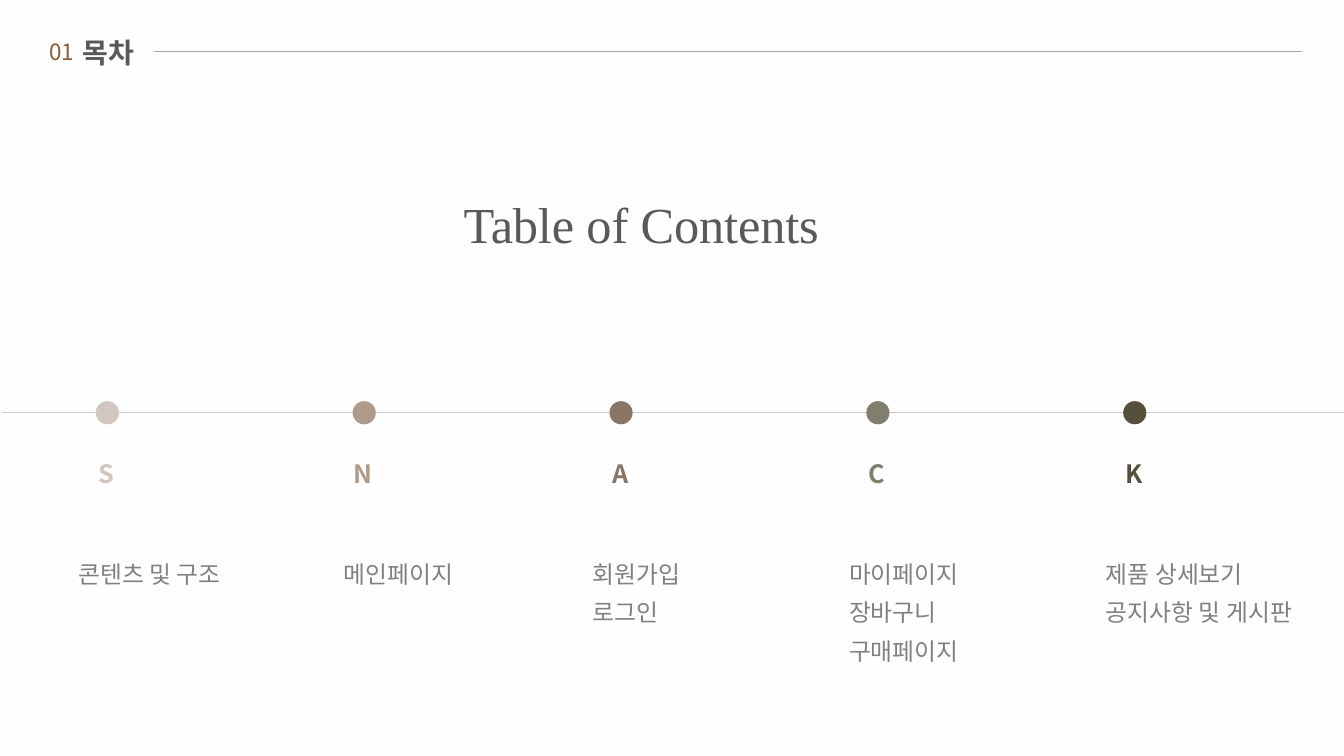
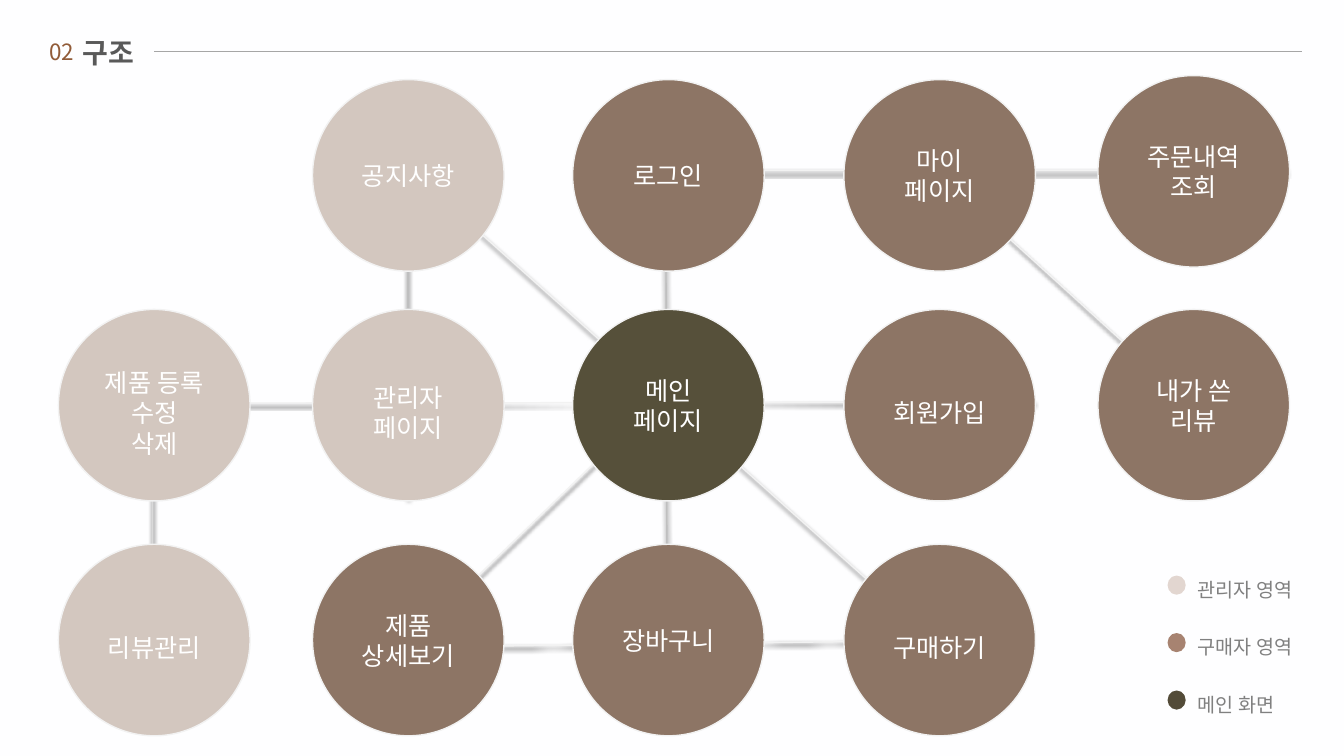
"""Build the contents slide and the site structure slide."""
import lxml.etree
import pptx
import pptx.dml.color
import pptx.enum.shapes
import pptx.enum.text
import pptx.oxml
import pptx.oxml.ns
import pptx.util

Inches = pptx.util.Inches
Oval = pptx.enum.shapes.MSO_SHAPE.OVAL
Align = pptx.enum.text.PP_ALIGN
Anchor = pptx.enum.text.MSO_ANCHOR

KOREAN = "Noto Sans CJK KR"
DARK = "595959"
GRAY = "808080"
PALE = "F2F2F2"
ADMIN = "D3C7BF"
BUYER = "8D7565"
MAIN = "56503A"
SHADOW = (
    f'<a:effectLst {pptx.oxml.ns.nsdecls("a")}>'
    '<a:outerShdw blurRad="38100" dist="25400" dir="5400000" rotWithShape="0">'
    '<a:srgbClr val="000000"><a:alpha val="75000"/></a:srgbClr>'
    '</a:outerShdw></a:effectLst>'
)


def color(value):
    return pptx.dml.color.RGBColor.from_string(value)


def write(box, lines, size, tint, font=KOREAN, bold=False, align=Align.LEFT,
          anchor=Anchor.TOP, spacing=None, tracking=0):
    frame = box.text_frame
    frame.word_wrap = True
    frame.auto_size = pptx.enum.text.MSO_AUTO_SIZE.NONE
    frame.vertical_anchor = anchor
    for index, line in enumerate(lines):
        para = frame.add_paragraph() if index else frame.paragraphs[0]
        para.alignment = align
        para.line_spacing = spacing
        span = para.add_run()
        span.text = line
        span.font.size = pptx.util.Pt(size)
        span.font.bold = bold
        span.font.color.rgb = color(tint)
        span.font.name = font
        properties = span.font._element
        if tracking:
            properties.set("spc", str(tracking))
        east_asian = lxml.etree.SubElement(properties, pptx.oxml.ns.qn("a:ea"))
        east_asian.set("typeface", KOREAN)


deck = pptx.Presentation()
deck.slide_width = Inches(13.33)
deck.slide_height = Inches(7.5)
deck.slide_master.background.fill.solid()
deck.slide_master.background.fill.fore_color.rgb = color("FEFEFF")

pages = []
for number, heading, font in [("01", "목차", "Roboto"), ("02", "구조", KOREAN)]:
    page = deck.slides.add_slide(deck.slide_layouts[5])
    title = page.shapes.title
    title.left, title.top = Inches(0.72), Inches(0.3)
    title.width, title.height = Inches(1.05), Inches(0.43)
    write(title, [heading], 20, DARK, font, bold=True)
    box = page.shapes.add_textbox(Inches(0.39), Inches(0.33), Inches(0.56), Inches(0.37))
    write(box, [number], 16, "915B38")
    pages.append(page)
contents, structure = pages

rule = ((1.53, 0.51), (12.91, 0.51), "A6A6A6", False)
timeline = ((0.02, 4.09), (13.35, 4.09), "CCCCCC", False)
links = [
    ((9.85, 6.87), (3.4, 1.09), PALE, True),
    ((3.56, 6.86), (6.59, 3.92), PALE, True),
    ((1.52, 3.18), (1.51, 7.17), "D9D9D9", True),
    ((4.04, 0.82), (4.05, 4.94), "BFBFBF", True),
    ((3.25, 6.43), (9.63, 6.35), PALE, True),
    ((12.5, 4.63), (8.63, 1.11), PALE, True),
    ((12.76, 1.69), (5.74, 1.69), PALE, True),
    ((6.6, 0.87), (6.62, 7.22), "BFBFBF", True),
    ((0.66, 4), (10.25, 3.99), PALE, True),
]
for page, strokes in [(contents, [rule, timeline]), (structure, links + [rule])]:
    for start, end, tint, shadowed in strokes:
        line = page.shapes.add_connector(
            pptx.enum.shapes.MSO_CONNECTOR.STRAIGHT, *map(Inches, start + end))
        line.line.color.rgb = color(tint)
        line.line.width = pptx.util.Pt(1)
        effects = lxml.etree.SubElement(line._element.spPr, pptx.oxml.ns.qn("a:effectLst"))
        if shadowed:
            effects.extend(pptx.oxml.parse_xml(SHADOW))

box = contents.shapes.add_textbox(Inches(4.5), Inches(1.87), Inches(7.72), Inches(1.3))
write(box, ["Table of Contents"], 36, DARK, "Times New Roman", tracking=-10)

steps = [
    ("S", "D1C7C0", 0, ["콘텐츠 및 구조"]),
    ("N", "AF9A8A", 0.08, ["메인페이지"]),
    ("A", "897667", 0, ["회원가입", "로그인"]),
    ("C", "827E6E", 0, ["마이페이지", "장바구니", "구매페이지"]),
    ("K", "55503C", 0, ["제품 상세보기", "공지사항 및 게시판"]),
]
pitch = (11.14 - 0.95) / (len(steps) - 1)
for index, (letter, tint, indent, topics) in enumerate(steps):
    left = 0.68 + index * pitch
    dot = contents.shapes.add_shape(
        Oval, Inches(left + 0.27), Inches(3.98), Inches(0.23), Inches(0.23))
    dot.shadow.inherit = False
    dot.fill.solid()
    dot.fill.fore_color.rgb = color(tint)
    dot.line.fill.background()
    box = contents.shapes.add_textbox(Inches(left), Inches(4.5), Inches(0.75), Inches(0.4))
    write(box, [letter], 18, tint, bold=True, align=Align.CENTER)
    box = contents.shapes.add_textbox(
        Inches(left + indent), Inches(5.4), Inches(2.28), Inches(0.1 + 0.38 * len(topics)))
    write(box, topics, 17, GRAY, spacing=1.35)

columns = [0.58, 3.1, 5.68, 8.37, 10.89]
rows = [0.79, 3.07, 5.4]
circles = [
    (columns[2], rows[1], MAIN, None, ["메인", "페이지"]),
    (columns[1], rows[0], ADMIN, None, ["공지사항"]),
    (columns[1], rows[2], BUYER, None, ["제품", "상세보기"]),
    (columns[3], rows[1], BUYER, 1.5, ["회원가입"]),
    (columns[3], rows[0], BUYER, None, ["마이", "페이지"]),
    (columns[2], rows[0], BUYER, None, ["로그인"]),
    (columns[2], rows[2], BUYER, None, ["장바구니"]),
    (columns[3], rows[2], BUYER, 1.5, ["구매하기"]),
    (columns[4], 0.75, BUYER, None, ["주문내역", "조회"]),
    (columns[4], rows[1], BUYER, None, ["내가 쓴 리뷰"]),
    (columns[1], rows[1], ADMIN, 1.5, ["관리자", "페이지"]),
    (columns[0], rows[1], ADMIN, 1.5, ["제품 등록", "수정", "삭제"]),
    (columns[0], rows[2], ADMIN, 1.5, ["리뷰관리"]),
]
for left, top, tint, first_spacing, lines in circles:
    circle = structure.shapes.add_shape(
        Oval, Inches(left), Inches(top), Inches(1.9), Inches(1.9))
    circle.shadow.inherit = False
    circle.fill.solid()
    circle.fill.fore_color.rgb = color(tint)
    circle.line.color.rgb = color(PALE)
    circle.line.width = pptx.util.Pt(1)
    write(circle, lines, 18, "FFFFFF", align=Align.CENTER, anchor=Anchor.MIDDLE)
    circle.text_frame.paragraphs[0].line_spacing = first_spacing

legend = [("관리자 영역", "E2D6D0"), ("구매자 영역", "A78371"), ("메인 화면", "534B38")]
for index, (name, tint) in enumerate(legend):
    top = 5.6 + index * 0.57
    key = structure.shapes.add_shape(
        Oval, Inches(11.58), Inches(top + 0.11), Inches(0.18), Inches(0.19))
    key.shadow.inherit = False
    key.fill.solid()
    key.fill.fore_color.rgb = color(tint)
    key.line.fill.background()
    box = structure.shapes.add_textbox(Inches(11.78), Inches(top), Inches(1.51), Inches(0.42))
    write(box, [name], 14, GRAY, spacing=1.35)

deck.save("out.pptx")
